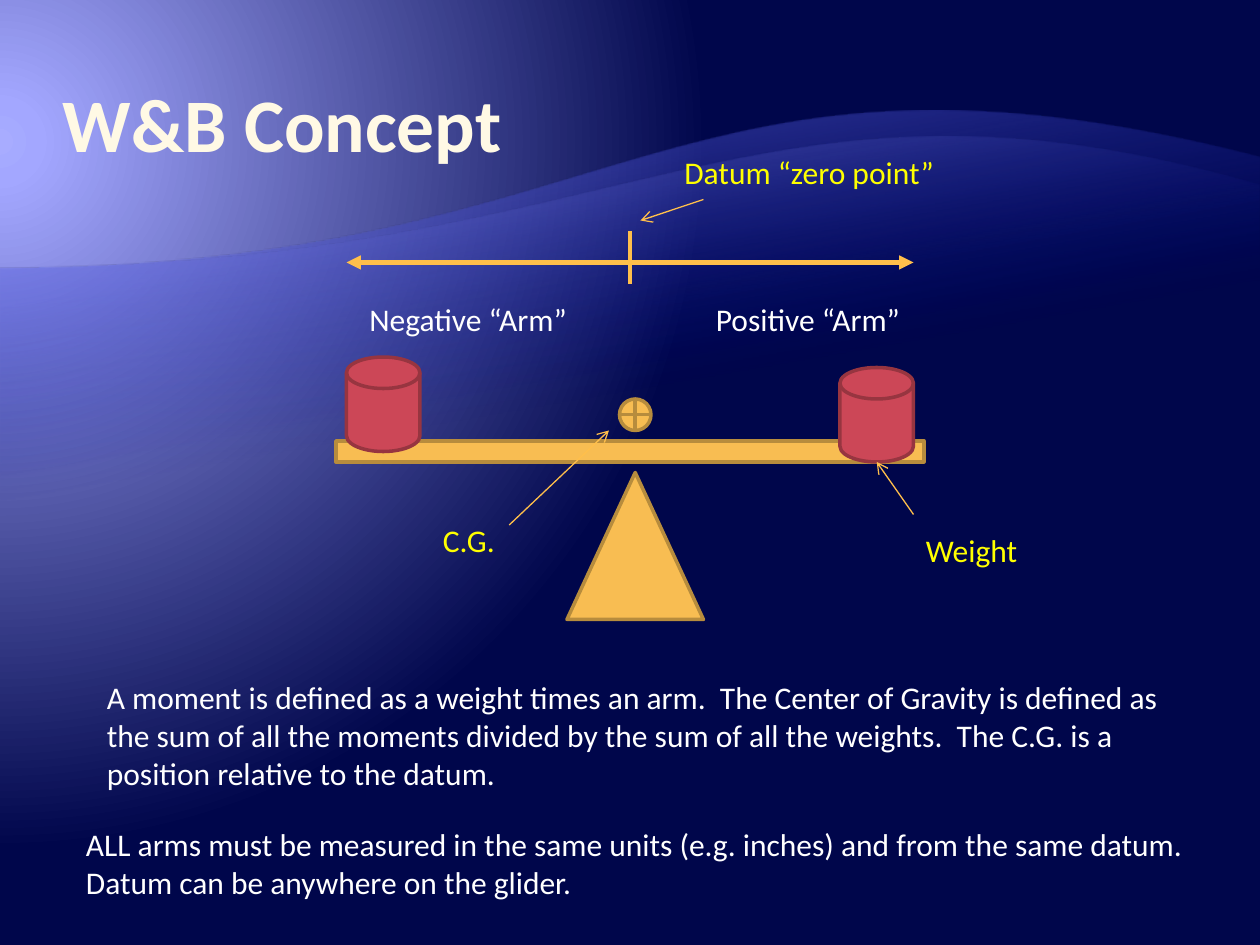
import pptx
import pptx.dml.color
import pptx.enum.shapes
import pptx.enum.text
import pptx.oxml
import pptx.oxml.ns
import pptx.util

Pt = pptx.util.Pt
RGB = pptx.dml.color.RGBColor.from_string
SHAPE = pptx.enum.shapes.MSO_SHAPE
qn = pptx.oxml.ns.qn
NS = pptx.oxml.ns.nsdecls("a")

THEME = dict(
    font="Calibri", title_size=43.2, body_size=18,
    title="FFF9E5", label="FFFF00", body="FFFFFF", arrow="FFBF4B",
    wood=("F8BD52", "B78C3D"), weight=("CC4757", "973540"), outline=2,
)
WIDTH, HEIGHT = 720, 540

# Gradient stops: position %, colour, opacity %
BACKDROP = [(0, "A8ACFF", 100), (5, "A3A7FF", 100), (90, "00064B", 100)]
BACKDROP_PATH = ('<a:path path="circle"><a:fillToRect l="20000" t="30000" '
                 'r="135000" b="100000"/></a:path>')
WAVE_PATH = '<a:lin ang="15600000" scaled="0"/>'
WAVE_LEFT = 153.4
# right edge y, bottom y, two curve controls, stops
WAVES = [
    (90, 528, (360, 153.4), (384.5, 3.6),
     [(0, "000D9E", 0), (65, "000D9E", 0), (100, "797FFF", 55)]),
    (105.8, 458.6, (360, 153.4), (430.6, 22.3),
     [(0, "000D9E", 0), (65, "000D9E", 0), (100, "A3A7FF", 30)]),
]

# preset, left, top, width, height, colour pair
PARTS = [
    (SHAPE.RECTANGLE, 192, 252, 336, 12, "wood"),
    (SHAPE.ISOSCELES_TRIANGLE, 324, 270, 78, 84, "wood"),
    (SHAPE.FLOWCHART_MAGNETIC_DISK, 480, 210, 42, 54, "weight"),
    (SHAPE.FLOWCHART_MAGNETIC_DISK, 198, 204, 42, 54, "weight"),
    (SHAPE.FLOWCHART_OR, 354, 228, 18, 18, "wood"),
]
# start, end, line width, arrowhead at start, arrowhead at end
LINES = [
    ((198, 150), (522, 150), 2.75, "triangle", "triangle"),
    ((360, 132), (360, 162), 2, None, None),
    ((402, 114), (366, 126), 0.75, None, "arrow"),
    ((522, 294), (501, 264), 0.75, None, "arrow"),
    ((291, 300), (348, 246), 0.75, None, "arrow"),
]
# text, left, top, width, height, colour, wraps
TEXTS = [
    ("Datum “zero point”", 384, 84, 160, 29, "label", False),
    ("Positive “Arm”", 402, 168, 122, 29, "body", False),
    ("Negative “Arm”", 204, 168, 132, 29, "body", False),
    ("Weight", 522, 300, 69, 29, "label", False),
    ("C.G.", 246, 294, 47, 29, "label", False),
    ("A moment is defined as a weight times an arm.  The Center of Gravity "
     "is defined as the sum of all the moments divided by the sum of all the "
     "weights.  The C.G. is a position relative to the datum.",
     54, 384, 618, 73, "body", True),
    ("ALL arms must be measured in the same units (e.g. inches) and from the "
     "same datum.  Datum can be anywhere on the glider.",
     42, 468, 660, 51, "body", True),
]


def set_gradient(fill, owner, stops, direction):
    """Swap the fill found in owner for a gradient."""
    fill.solid()
    solid = owner.find(".//" + qn("a:solidFill"))
    gs = "".join(
        f'<a:gs pos="{pos * 1000}"><a:srgbClr val="{color}">'
        f'<a:alpha val="{alpha * 1000}"/></a:srgbClr></a:gs>'
        for pos, color, alpha in stops)
    solid.getparent().replace(solid, pptx.oxml.parse_xml(
        f'<a:gradFill {NS} rotWithShape="1"><a:gsLst>{gs}</a:gsLst>'
        f'{direction}</a:gradFill>'))


def add_wave(s, right_y, bottom, c1, c2, stops):
    """Draw a translucent band whose top edge is one Bezier curve."""
    builder = s.shapes.build_freeform(Pt(WIDTH), Pt(bottom))
    builder.add_line_segments(
        [(Pt(0), Pt(bottom)), (Pt(0), Pt(WAVE_LEFT)), (Pt(WIDTH), Pt(right_y))])
    sp = builder.convert_to_shape()
    edge = sp._element.findall(".//" + qn("a:lnTo"))[2]
    points = "".join(f'<a:pt x="{Pt(x)}" y="{Pt(y - right_y)}"/>'
                     for x, y in (c1, c2, (WIDTH, right_y)))
    edge.getparent().replace(edge, pptx.oxml.parse_xml(
        f'<a:cubicBezTo {NS}>{points}</a:cubicBezTo>'))
    sp.shadow.inherit = False
    sp.line.fill.background()
    set_gradient(sp.fill, sp._element.spPr, stops, WAVE_PATH)


def add_part(s, preset, left, top, width, height, pair):
    """Draw one outlined piece of the balance."""
    sp = s.shapes.add_shape(preset, Pt(left), Pt(top), Pt(width), Pt(height))
    sp.shadow.inherit = False
    fill, line = THEME[pair]
    sp.fill.solid()
    sp.fill.fore_color.rgb = RGB(fill)
    sp.line.color.rgb = RGB(line)
    sp.line.width = Pt(THEME["outline"])


def add_line(s, start, end, width, head, tail):
    """Draw a straight line with optional arrowheads."""
    cxn = s.shapes.add_connector(
        pptx.enum.shapes.MSO_CONNECTOR.STRAIGHT, *map(Pt, start + end))
    cxn.line.color.rgb = RGB(THEME["arrow"])
    cxn.line.width = Pt(width)
    ln = cxn.line._get_or_add_ln()
    for tag, kind in (("headEnd", head), ("tailEnd", tail)):
        if kind:
            ln.append(pptx.oxml.parse_xml(f'<a:{tag} {NS} type="{kind}"/>'))
    cxn._element.spPr.append(pptx.oxml.parse_xml(f"<a:effectLst {NS}/>"))


def add_text(s, text, left, top, width, height, color, wrap, size=None):
    """Add a one-paragraph text box and return its frame."""
    tf = s.shapes.add_textbox(
        Pt(left), Pt(top), Pt(width), Pt(height)).text_frame
    tf.word_wrap = wrap
    tf.auto_size = pptx.enum.text.MSO_AUTO_SIZE.SHAPE_TO_FIT_TEXT
    p = tf.paragraphs[0]
    p.text = text
    p.font.name = THEME["font"]
    p.font.size = Pt(size or THEME["body_size"])
    p.font.color.rgb = RGB(THEME[color])
    return tf


def add_title(s, text):
    """Add the bold, bottom-anchored title."""
    tf = add_text(s, text, 36, 42, 648, 54, "title", True,
                  THEME["title_size"])
    tf.auto_size = pptx.enum.text.MSO_AUTO_SIZE.NONE
    tf.vertical_anchor = pptx.enum.text.MSO_ANCHOR.BOTTOM
    tf.margin_left = tf.margin_right = tf.margin_top = tf.margin_bottom = 0
    tf.paragraphs[0].font.bold = True


prs = pptx.Presentation()
prs.slide_width, prs.slide_height = Pt(WIDTH), Pt(HEIGHT)
s = prs.slides.add_slide(prs.slide_layouts[6])
set_gradient(s.background.fill, s._element, BACKDROP, BACKDROP_PATH)
for wave in WAVES:
    add_wave(s, *wave)
add_title(s, "W&B Concept")
for part in PARTS:
    add_part(s, *part)
for line in LINES:
    add_line(s, *line)
for text in TEXTS:
    add_text(s, *text)
prs.save("out.pptx")
